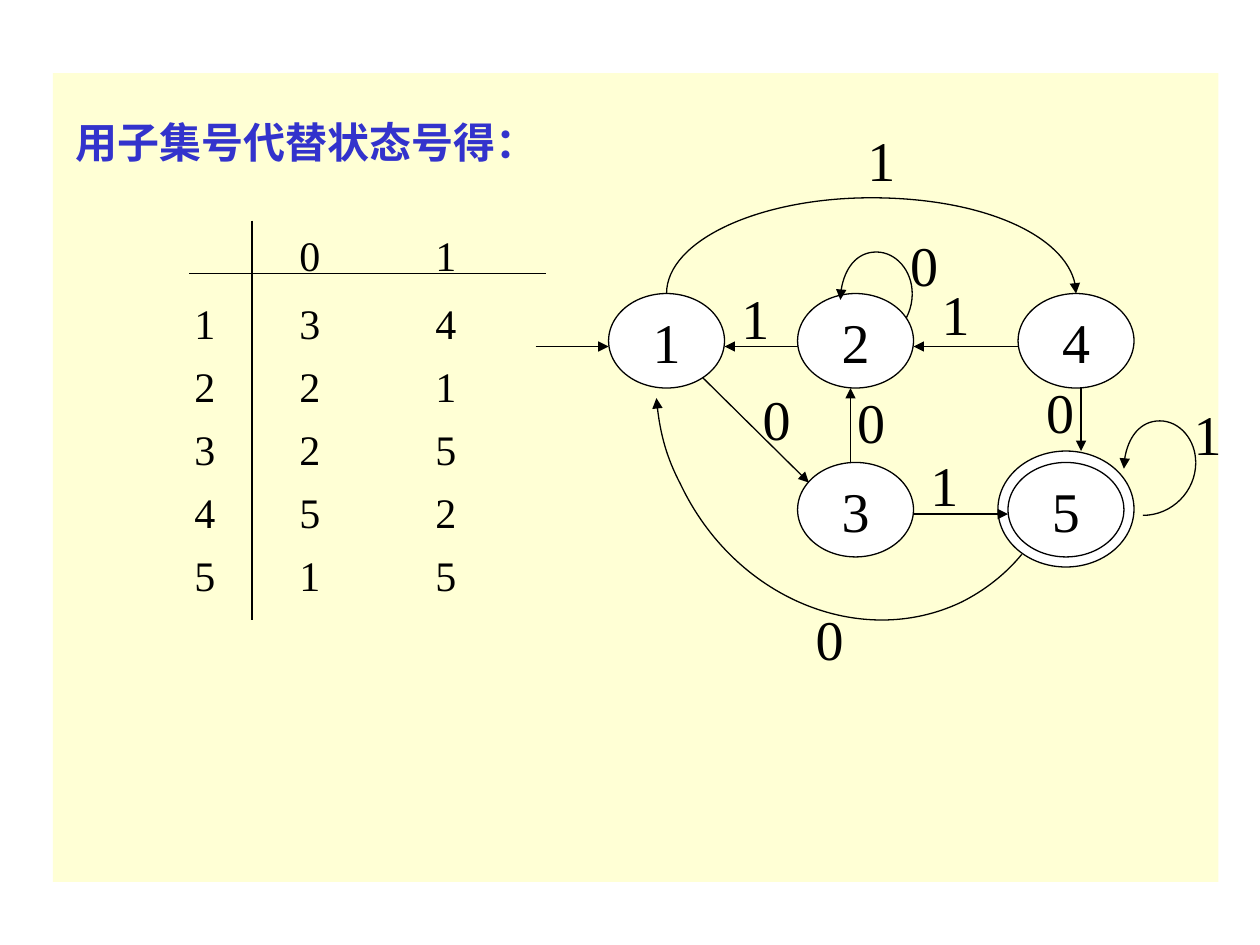
"""Build a slide with a DFA transition table and its state diagram."""
from lxml import etree
from pptx import Presentation
from pptx.dml.color import RGBColor
from pptx.enum.shapes import MSO_CONNECTOR, MSO_SHAPE
from pptx.enum.text import MSO_ANCHOR, MSO_AUTO_SIZE, PP_ALIGN
from pptx.oxml.ns import qn
from pptx.util import Inches, Pt

OVAL, RECTANGLE = MSO_SHAPE.OVAL, MSO_SHAPE.RECTANGLE
STRAIGHT = MSO_CONNECTOR.STRAIGHT
MIDDLE, LEFT, CENTER = MSO_ANCHOR.MIDDLE, PP_ALIGN.LEFT, PP_ALIGN.CENTER
FIXED = MSO_AUTO_SIZE.NONE

FONT = "Times New Roman"
COLORS = {"panel": "FFFFD5", "title": "3333CC", "ink": "000000", "state": "FFFFFF"}
NO_GRID_STYLE = "{2D5ABB26-0587-4C30-8999-92F81FD0307C}"
ROUNDNESS = 0.55

TRANSITIONS = [["", "0", "1"], ["1", "3", "4"], ["2", "2", "1"],
               ["3", "2", "5"], ["4", "5", "2"], ["5", "1", "5"]]
COLUMN_WIDTHS = [0.75, 0.92, 1.24]
ROW_HEIGHTS = [0.58] + [0.5] * 5
RULES = [((1.5, 2.17), (4.33, 2.17)), ((2, 1.75), (2, 4.92))]

STATE_SIZE = (0.92, 0.75)
STATES = {"5": (8, 3.67), "3": (6.33, 3.67), "1": (4.83, 2.33),
          "2": (6.33, 2.33), "4": (8.08, 2.33)}
ARROWS = [((4.25, 2.75), (4.83, 2.75)), ((6.33, 2.75), (5.75, 2.75)),
          ((8.08, 2.75), (7.25, 2.75)), ((7.25, 4.08), (8, 4.08)),
          ((5.58, 3), (6.42, 3.83)), ((6.75, 3.67), (6.75, 3.08)),
          ((8.58, 3.08), (8.58, 3.58))]
LOOPS = [(6.82, 2.33), (9.07, 3.67)]
RETURN_CURVE = [(8.11, 4.4), (7.98, 4.56), (7.81, 4.69), (7.63, 4.78),
                (6.83, 5.16), (5.83, 4.75), (5.4, 3.84),
                (5.29, 3.63), (5.23, 3.4), (5.21, 3.16)]
LABELS = [("0", 5.75, 3), ("1", 7.17, 2.17), ("1", 6.58, 0.95),
          ("1", 7.08, 3.53), ("0", 6.17, 4.75), ("1", 5.58, 2.2),
          ("0", 6.92, 1.78), ("0", 6.5, 3.03), ("1", 9.17, 3.12),
          ("0", 8, 2.95)]


def color(name):
    """Return a named colour."""
    return RGBColor.from_string(COLORS[name])


def write(frame, text, size, ink="ink", align=CENTER, bold=False):
    """Put one formatted paragraph into a text frame."""
    frame.text = text
    paragraph = frame.paragraphs[0]
    paragraph.alignment = align
    font = paragraph.font
    font.name, font.size, font.bold = FONT, Pt(size), bold
    font.color.rgb = color(ink)


def style_line(line, arrow=False):
    """Give a thin dark line, with an arrowhead at its end if wanted."""
    line.color.rgb = color("ink")
    line.width = Pt(0.75)
    if arrow:
        etree.SubElement(line._get_or_add_ln(), qn("a:tailEnd"), type="triangle")


def add_line(slide, start, end, arrow=False):
    """Draw a straight line."""
    edge = slide.shapes.add_connector(STRAIGHT, *map(Inches, start + end))
    style_line(edge.line, arrow)
    etree.SubElement(edge._element.spPr, qn("a:effectLst"))


def quarter(start, corner, end):
    """Return the Bezier points after start of a quarter ellipse."""
    controls = [tuple(p + ROUNDNESS * (c - p) for p, c in zip(point, corner))
                for point in (start, end)]
    return controls + [end]


def arch(start, end, top):
    """Return the Bezier points of an arch that rises to the given top."""
    peak = ((start[0] + end[0]) / 2, top)
    return ([start] + quarter(start, (start[0], top), peak)
            + quarter(peak, (end[0], top), end))


def add_curve(slide, points, arrow=True):
    """Draw an open chain of cubic Bezier curves."""
    start, *rest = [tuple(map(Inches, point)) for point in points]
    builder = slide.shapes.build_freeform(*start)
    builder.add_line_segments(rest, close=False)
    curve = builder.convert_to_shape()
    segments = list(curve._element.iter(qn("a:lnTo")))
    for first in range(0, len(segments), 3):
        bezier = etree.Element(qn("a:cubicBezTo"))
        segments[first].addprevious(bezier)
        for segment in segments[first:first + 3]:
            bezier.append(segment[0])
            segment.getparent().remove(segment)
    curve.fill.background()
    curve.shadow.inherit = False
    style_line(curve.line, arrow)


def add_filled(slide, kind, position, size, fill):
    """Draw a filled preset shape without a shadow."""
    shape = slide.shapes.add_shape(kind, *map(Inches, position + size))
    shape.shadow.inherit = False
    shape.fill.solid()
    shape.fill.fore_color.rgb = color(fill)
    return shape


def add_state(slide, position, size=STATE_SIZE, number=""):
    """Draw a state circle, numbered if a number is given."""
    state = add_filled(slide, OVAL, position, size, "state")
    style_line(state.line)
    if number:
        frame = state.text_frame
        frame.word_wrap = False
        frame.vertical_anchor = MIDDLE
        write(frame, number, 32)


def add_label(slide, symbol, left, top):
    """Write the input symbol of a transition."""
    label = slide.shapes.add_textbox(*map(Inches, (left, top, 0.83, 0.63)))
    label.text_frame.word_wrap = True
    write(label.text_frame, symbol, 32)


def add_background_and_title(slide):
    """Draw the panel behind the title and format the title."""
    panel = add_filled(slide, RECTANGLE, (0.42, 0.58), (9.25, 6.42), "panel")
    panel.line.fill.background()
    slide.shapes._spTree.insert(2, panel._element)
    title = slide.shapes.title
    title.left, title.top, title.width, title.height = map(
        Inches, (0.5, 0.75, 3.83, 0.75))
    frame = title.text_frame
    frame.auto_size, frame.word_wrap = FIXED, False
    frame.vertical_anchor = MIDDLE
    write(frame, "用子集号代替状态号得：", 24, "title", LEFT, True)


def add_transition_table(slide):
    """Add the transition table and its two rules."""
    extent = (1.25, 1.75, sum(COLUMN_WIDTHS), sum(ROW_HEIGHTS))
    table = slide.shapes.add_table(
        len(ROW_HEIGHTS), len(COLUMN_WIDTHS), *map(Inches, extent)).table
    table.first_row = table.horz_banding = False
    table._tbl.tblPr.find(qn("a:tableStyleId")).text = NO_GRID_STYLE
    for column, width in zip(table.columns, COLUMN_WIDTHS):
        column.width = Inches(width)
    for row, height, values in zip(table.rows, ROW_HEIGHTS, TRANSITIONS):
        row.height = Inches(height)
        for cell, value in zip(row.cells, values):
            cell.fill.background()
            cell.margin_left = cell.margin_right = 0
            cell.margin_top = cell.margin_bottom = 0
            cell.vertical_anchor = MIDDLE
            write(cell.text_frame, value, 24)
    for start, end in RULES:
        add_line(slide, start, end)


def add_state_diagram(slide):
    """Draw states, transitions and input symbols."""
    for x, y in LOOPS:
        start, end = (x, y + 0.42), (x + 0.42, y)
        add_curve(slide, [start] + quarter(start, (end[0], start[1]), end), False)
    add_state(slide, (7.92, 3.58), (1.08, 0.92))
    for number, position in STATES.items():
        add_state(slide, position, number=number)
    for start, end in ARROWS:
        add_line(slide, start, end, True)
    for x, y in LOOPS:
        add_curve(slide, arch((x + 0.42, y), (x - 0.15, y + 0.05), y - 0.33))
    add_curve(slide, arch((5.29, 2.33), (8.54, 2.33), 1.57))
    add_curve(slide, RETURN_CURVE)
    for label in LABELS:
        add_label(slide, *label)


def main():
    """Build and save the slide."""
    deck = Presentation()
    deck.slide_width, deck.slide_height = Inches(10), Inches(7.5)
    slide = deck.slides.add_slide(deck.slide_layouts[5])
    add_background_and_title(slide)
    add_transition_table(slide)
    add_state_diagram(slide)
    deck.save("out.pptx")


if __name__ == "__main__":
    main()
